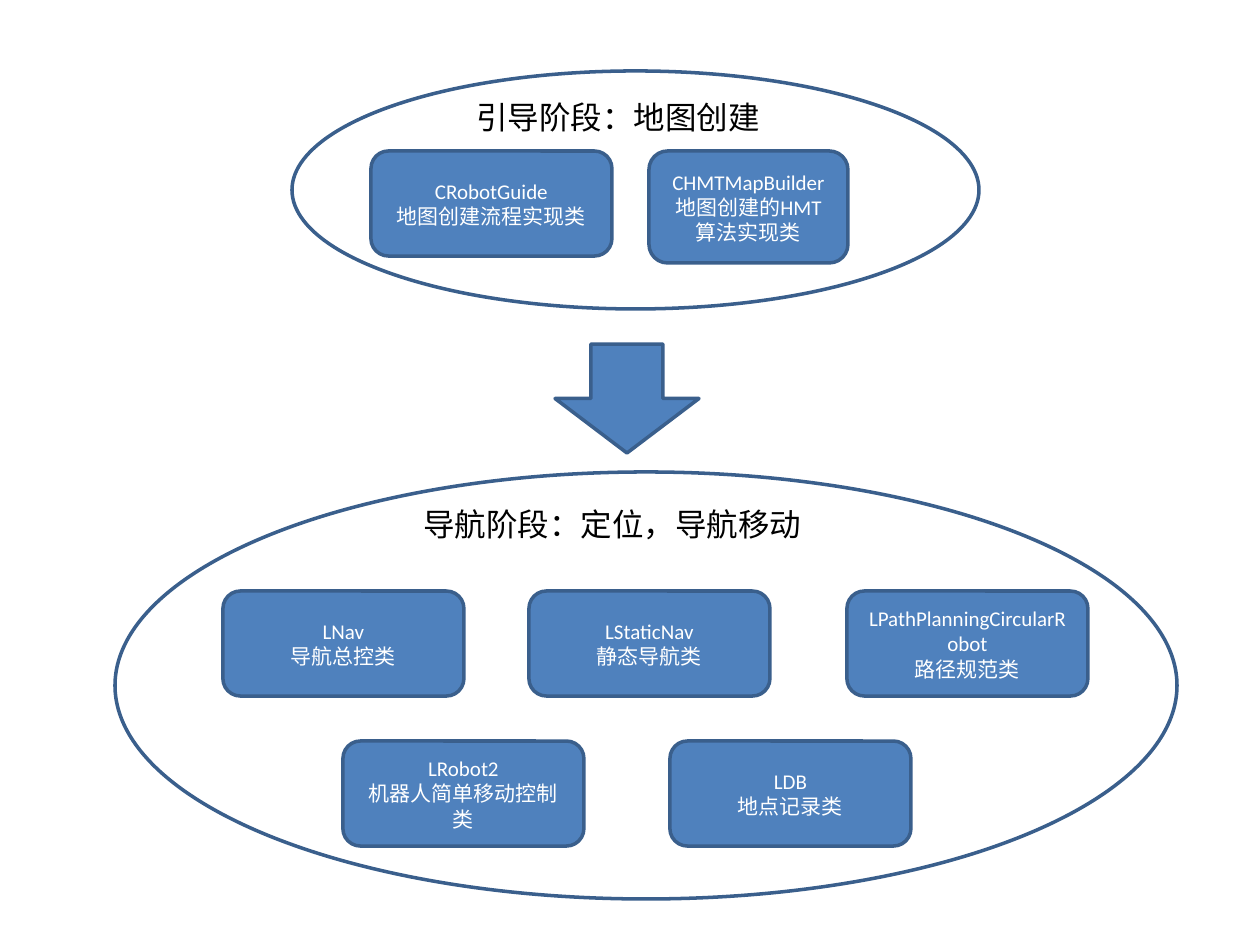
from dataclasses import dataclass
from pptx import Presentation
from pptx.dml.color import RGBColor as RGB
from pptx.enum.shapes import MSO_SHAPE as SHAPE
from pptx.enum.text import MSO_ANCHOR as ANCHOR, MSO_AUTO_SIZE as AUTO, PP_ALIGN as ALIGN
from pptx.util import Pt


@dataclass(frozen=True)
class Theme:
    blue: RGB = RGB(0x4F, 0x81, 0xBD)
    edge: RGB = RGB(0x3A, 0x5F, 0x8C)
    white: RGB = RGB(255, 255, 255)
    black: RGB = RGB(0, 0, 0)
    font: str = "Calibri"
    title: Pt = Pt(18)
    body: Pt = Pt(12)
    line: Pt = Pt(2)


theme = Theme()
PX = 914400 / 126

prs = Presentation()
prs.slide_width, prs.slide_height = round(1260 * PX), round(945 * PX)
s = prs.slides.add_slide(prs.slide_layouts[6])


def add_shape(kind, box, fill):
    sp = s.shapes.add_shape(kind, *[round(v * PX) for v in box])
    sp.shadow.inherit = False
    sp.fill.solid()
    sp.fill.fore_color.rgb = fill
    sp.line.color.rgb = theme.edge
    sp.line.width = theme.line
    return sp


def write(tf, lines, size, color, align):
    for i, text in enumerate(lines):
        p = tf.paragraphs[0] if i == 0 else tf.add_paragraph()
        p.alignment = align
        r = p.add_run()
        r.text = text
        r.font.name, r.font.size = theme.font, size
        r.font.color.rgb = color


BOX_W, BOX_H = 241, 105
GUIDE_Y, NAV_Y, RECORD_Y = 151, 591, 741

stages = [
    ((292, 71, 687, 238), (464, 92, 328, 50), "引导阶段：地图创建"),
    ((115, 472, 1062, 427), (411, 499, 427, 50), "导航阶段：定位，导航移动"),
]
classes = [
    (649, GUIDE_Y, 199, 112, "CHMTMapBuilder", "地图创建的HMT算法实现类"),
    (371, GUIDE_Y, BOX_W, BOX_H, "CRobotGuide", "地图创建流程实现类"),
    (223, NAV_Y, BOX_W, BOX_H, "LNav", "导航总控类"),
    (529, NAV_Y, BOX_W, BOX_H, "LStaticNav", "静态导航类"),
    (847, NAV_Y, BOX_W, BOX_H, "LPathPlanningCircularRobot", "路径规范类"),
    (670, RECORD_Y, BOX_W, BOX_H, "LDB", "地点记录类"),
    (343, RECORD_Y, BOX_W, BOX_H, "LRobot2", "机器人简单移动控制类"),
]

for oval, label, title in stages:
    add_shape(SHAPE.OVAL, oval, theme.white)
    tb = s.shapes.add_textbox(*[round(v * PX) for v in label])
    tf = tb.text_frame
    tf.word_wrap = True
    tf.auto_size = AUTO.SHAPE_TO_FIT_TEXT
    write(tf, [title], theme.title, theme.black, ALIGN.LEFT)

add_shape(SHAPE.DOWN_ARROW, (555, 344, 144, 109), theme.blue)

for x, y, w, h, name, role in classes:
    sp = add_shape(SHAPE.ROUNDED_RECTANGLE, (x, y, w, h), theme.blue)
    tf = sp.text_frame
    tf.word_wrap = True
    tf.vertical_anchor = ANCHOR.MIDDLE
    write(tf, [name, role], theme.body, theme.white, ALIGN.CENTER)

prs.save("out.pptx")
